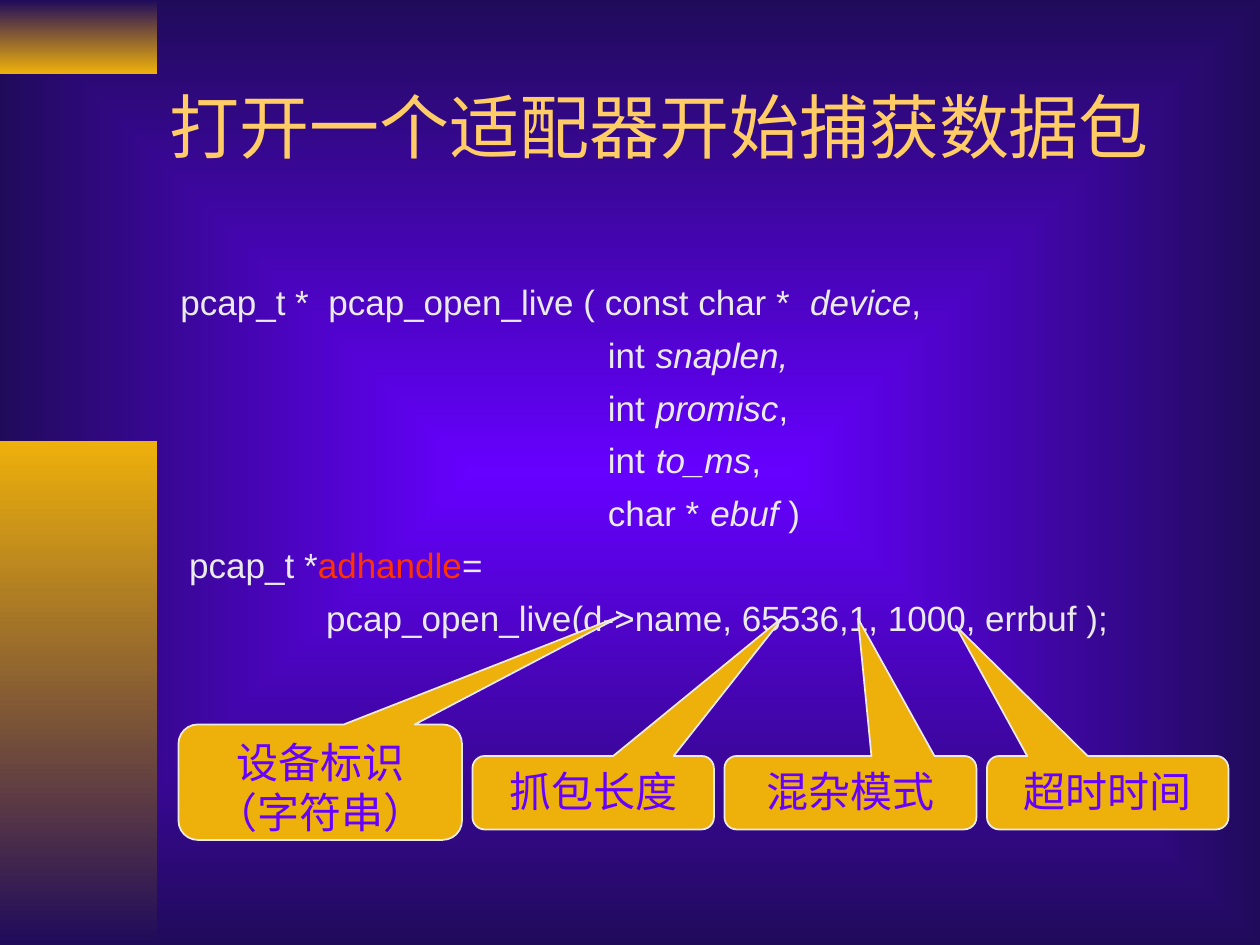
import pptx
import pptx.dml.color
import pptx.enum.shapes
import pptx.enum.text
import pptx.util
from lxml import etree

Pt = pptx.util.Pt
KIND = pptx.enum.shapes.MSO_SHAPE
ANCHOR = pptx.enum.text.MSO_ANCHOR
ALIGN = pptx.enum.text.PP_ALIGN
GOLD, NAVY, VIOLET, PALE = "EEB00B", "200B5B", "6600FF", "EAEAEA"


def hue(code):
    return pptx.dml.color.RGBColor.from_string(code)


def write(frame, lines, color, para, font):
    """Fill a frame; each line is a list of (text, font changes) runs."""
    frame.word_wrap = True
    for num, line in enumerate(lines):
        part = frame.add_paragraph() if num else frame.paragraphs[0]
        for name, value in para.items():
            if num or name != "space_before":
                setattr(part, name, value)
        for text, change in line:
            run = part.add_run()
            run.text = text
            style = {**font, "color": color, **change}
            run.font.color.rgb = hue(style.pop("color"))
            for name, value in style.items():
                setattr(run.font, name, value)


deck = pptx.Presentation()
deck.slide_width, deck.slide_height = Pt(720), Pt(540)
slide = deck.slides.add_slide(deck.slide_layouts[6])
shapes = slide.shapes

# Background: gradient from the centre to the edges
fill = slide.background.fill
fill.gradient()
for stop, code in zip(fill.gradient_stops, (VIOLET, NAVY)):
    stop.color.rgb = hue(code)
ns = "http://schemas.openxmlformats.org/drawingml/2006/main"
line = slide.element.find(f".//{{{ns}}}lin")
focus = etree.fromstring(
    f'<a:path xmlns:a="{ns}" path="rect">'
    '<a:fillToRect l="50000" t="50000" r="50000" b="50000"/></a:path>')
line.getparent().replace(line, focus)

# Gold bars on the left edge
for top, high, codes in ((0, 42, (NAVY, GOLD)), (252, 288, (GOLD, NAVY))):
    bar = shapes.add_shape(KIND.RECTANGLE, 0, Pt(top), Pt(90), Pt(high))
    bar.shadow.inherit = False
    bar.line.fill.background()
    bar.fill.gradient()
    bar.fill.gradient_angle = 270
    for place, (stop, code) in enumerate(zip(bar.fill.gradient_stops, codes)):
        stop.position = place
        stop.color.rgb = hue(code)

# Title
title = shapes.add_textbox(Pt(90), Pt(24), Pt(618), Pt(95)).text_frame
title.vertical_anchor = ANCHOR.MIDDLE
write(title, [[("打开一个适配器开始捕获数据包", {})]], "FFCC66", {},
      {"size": Pt(40), "name": "Times New Roman"})

# Code: the prototype, then a call
slant = {"italic": True}
pad = " " * 44
code = [
    [("pcap_t *  pcap_open_live ( const char *  ", {}), ("device", slant), (",", {})],
    [(pad + "int ", {}), ("snaplen,", slant)],
    [(pad + "int ", {}), ("promisc", slant), (",", {})],
    [(pad + "int ", {}), ("to_ms", slant), (",", {})],
    [(pad + "char * ", {}), ("ebuf", slant), (" )", {})],
    [(" ", {"name": "Times New Roman"}), ("pcap_t *", {}),
     ("adhandle", {"color": "FF3300"}), ("=", {})],
    [(" " * 15 + "pcap_open_live(d->name, 65536,1, 1000, errbuf );", {})],
]
body = shapes.add_textbox(Pt(96), Pt(157), Pt(612), Pt(323)).text_frame
write(body, code, PALE, {"space_before": Pt(6)},
      {"size": Pt(20), "name": "Arial", "italic": False})

# Callouts: left, top, width, height, pointer tip, lines
notes = (
    (102, 414, 162, 66, (1.07, -1.45), ("设备标识", "（字符串）")),
    (270, 432, 138, 42, (0.79, -2.4), ("抓包长度",)),
    (414, 432, 144, 42, (0.03, -2.37), ("混杂模式",)),
    (564, 432, 138, 42, (-0.63, -2.27), ("超时时间",)),
)
for left, top, wide, high, tip, words in notes:
    note = shapes.add_shape(KIND.ROUNDED_RECTANGULAR_CALLOUT,
                            Pt(left), Pt(top), Pt(wide), Pt(high))
    note.shadow.inherit = False
    note.adjustments[0], note.adjustments[1] = tip
    note.fill.solid()
    note.fill.fore_color.rgb = hue(GOLD)
    note.line.color.rgb = hue(PALE)
    note.line.width = Pt(1)
    note.text_frame.vertical_anchor = ANCHOR.TOP
    write(note.text_frame, [[(word, {})] for word in words], VIOLET,
          {"alignment": ALIGN.CENTER},
          {"size": Pt(24), "name": "Times New Roman"})

deck.save("out.pptx")
